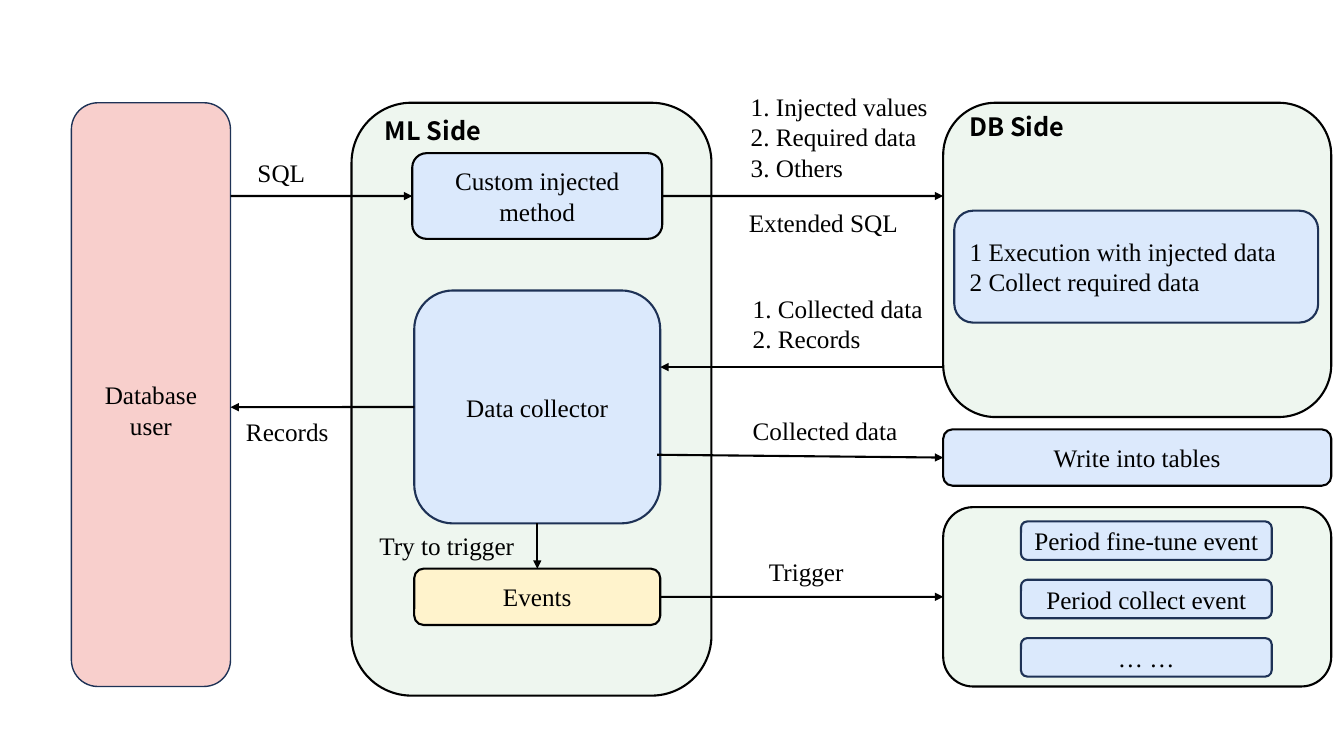
from lxml.etree import SubElement
from pptx import Presentation
from pptx.dml.color import RGBColor
from pptx.enum.shapes import MSO_CONNECTOR, MSO_SHAPE
from pptx.enum.text import MSO_ANCHOR, MSO_AUTO_SIZE, PP_ALIGN
from pptx.oxml.ns import qn
from pptx.util import Cm, Pt

BLACK = RGBColor(0x00, 0x00, 0x00)
NAVY = RGBColor(0x1E, 0x32, 0x56)
GREEN = RGBColor(0xEE, 0xF6, 0xEF)
MINT = RGBColor(0xEE, 0xF7, 0xEF)
BLUE = RGBColor(0xDB, 0xE9, 0xFC)
SKY = RGBColor(0xDC, 0xE9, 0xFC)
YELLOW = RGBColor(0xFF, 0xF3, 0xCC)
PINK = RGBColor(0xF8, 0xCF, 0xCC)
SERIF = "Times New Roman"
SANS = "Noto Sans CJK SC"
TOP, LEFT, BOTTOM, RIGHT = range(4)


def write(frame, lines, align, face=SERIF, bold=False):
    frame.word_wrap = True
    for i, line in enumerate(lines):
        para = frame.paragraphs[0] if i == 0 else frame.add_paragraph()
        para.alignment = align
        run = para.add_run()
        run.text = line
        run.font.name = face
        run.font.size = Pt(18)
        run.font.bold = bold
        run.font.color.rgb = BLACK


def block(slide, area, fill, edge=BLACK, lines=(), align=PP_ALIGN.CENTER, width=1.5):
    shape = slide.shapes.add_shape(MSO_SHAPE.ROUNDED_RECTANGLE, *map(Cm, area))
    shape.shadow.inherit = False
    shape.fill.solid()
    shape.fill.fore_color.rgb = fill
    shape.line.color.rgb = edge
    shape.line.width = Pt(width)
    shape.text_frame.vertical_anchor = MSO_ANCHOR.MIDDLE
    write(shape.text_frame, lines, align)
    return shape


def label(slide, left, top, width, lines, align=PP_ALIGN.LEFT, face=SERIF, bold=False):
    height = 0.25 + 0.77 * len(lines)
    text = slide.shapes.add_textbox(Cm(left), Cm(top), Cm(width), Cm(height))
    text.text_frame.auto_size = MSO_AUTO_SIZE.SHAPE_TO_FIT_TEXT
    write(text.text_frame, lines, align, face, bold)


def arrow(slide, start=(0, 0), end=(0, 0), tail=None, head=None):
    line = slide.shapes.add_connector(MSO_CONNECTOR.STRAIGHT, *map(Cm, (*start, *end)))
    if tail:
        line.begin_connect(*tail)
    if head:
        line.end_connect(*head)
    line.line.color.rgb = BLACK
    line.line.width = Pt(1.5)
    tip = SubElement(line.line._get_or_add_ln(), qn("a:tailEnd"))
    tip.set("type", "triangle")
    SubElement(line._element.spPr, qn("a:effectLst"))


def user_side(slide, area):
    user = block(slide, area, PINK, NAVY, ["Database", "user"], width=1)
    user.text_frame.margin_top = Cm(0.9)


def ml_side(slide, area):
    x, y, _, _ = area
    block(slide, area, GREEN)
    label(slide, x + 0.59, y + 0.18, 3.5, ["ML Side"], face=SANS, bold=True)
    method = block(slide, (x + 1.53, y + 1.27, 6.3, 2.16), BLUE,
                   lines=["Custom injected method"])
    data = block(slide, (x + 1.58, y + 4.73, 6.2, 5.87), BLUE, NAVY, ["Data collector"])
    events = block(slide, (x + 1.58, y + 11.74, 6.2, 1.42), YELLOW, lines=["Events"])
    label(slide, x - 0.1, y + 10.64, 5, ["Try to trigger"], PP_ALIGN.CENTER)
    arrow(slide, tail=(data, BOTTOM), head=(events, TOP))
    return method, data, events


def db_side(slide, area):
    x, y, _, _ = area
    block(slide, area, GREEN)
    label(slide, x + 0.41, y + 0.1, 3.18, ["DB Side"], face=SANS, bold=True)
    block(slide, (x + 0.28, y + 2.72, 9.17, 2.82), BLUE, NAVY,
          ["1 Execution with injected data", "2 Collect required data"], PP_ALIGN.LEFT)


def job_list(slide, area):
    x, y, _, _ = area
    panel = block(slide, area, MINT)
    for i, name in enumerate(["Period fine-tune event", "Period collect event", "… …"]):
        block(slide, (x + 1.96, y + 0.36 + 1.47 * i, 6.32, 0.97), BLUE, NAVY, [name])
    return panel


def user_flow(slide, area, method, data):
    x, y, _, _ = area
    label(slide, x - 0.32, y + 1.25, 3.2, ["SQL"], PP_ALIGN.CENTER)
    label(slide, x - 0.17, y + 7.77, 3.2, ["Records"], PP_ALIGN.CENTER)
    arrow(slide, start=(x, y + 2.35), head=(method, LEFT))
    arrow(slide, end=(x, y + 7.67), tail=(data, LEFT))


def db_flow(slide, area, method, events, table, jobs):
    x, y, w, _ = area
    label(slide, x + 0.74, y - 0.41, 5.28,
          ["1. Injected values", "2. Required data", "3. Others"])
    label(slide, x + 0.56, y + 2.52, 4.52, ["Extended SQL"], PP_ALIGN.CENTER)
    label(slide, x + 0.79, y + 4.67, 5.28, ["1. Collected data", "2. Records"])
    label(slide, x + 0.79, y + 7.75, 5.28, ["Collected data"])
    label(slide, x + 0.79, y + 11.3, 3.2, ["Trigger"], PP_ALIGN.CENTER)
    arrow(slide, end=(x + w, y + 2.35), tail=(method, RIGHT))
    arrow(slide, start=(x + w, y + 6.66), end=(x - 1.29, y + 6.66))
    arrow(slide, start=(x - 1.37, y + 8.87), head=(table, LEFT))
    arrow(slide, tail=(events, RIGHT), head=(jobs, LEFT))


def main():
    deck = Presentation()
    deck.slide_width = Cm(33.87)
    deck.slide_height = Cm(19.05)
    slide = deck.slides.add_slide(deck.slide_layouts[6])
    user_side(slide, (1.8, 2.59, 4.01, 14.71))
    method, data, events = ml_side(slide, (8.86, 2.59, 9.07, 14.94))
    db_side(slide, (23.77, 2.59, 9.78, 7.92))
    table = block(slide, (23.77, 10.82, 9.78, 1.42), SKY, lines=["Write into tables"])
    jobs = job_list(slide, (23.77, 12.78, 9.78, 4.52))
    user_flow(slide, (5.81, 2.59, 3.05, 14.71), method, data)
    db_flow(slide, (17.93, 2.59, 5.84, 14.71), method, events, table, jobs)
    deck.save("out.pptx")


if __name__ == "__main__":
    main()
